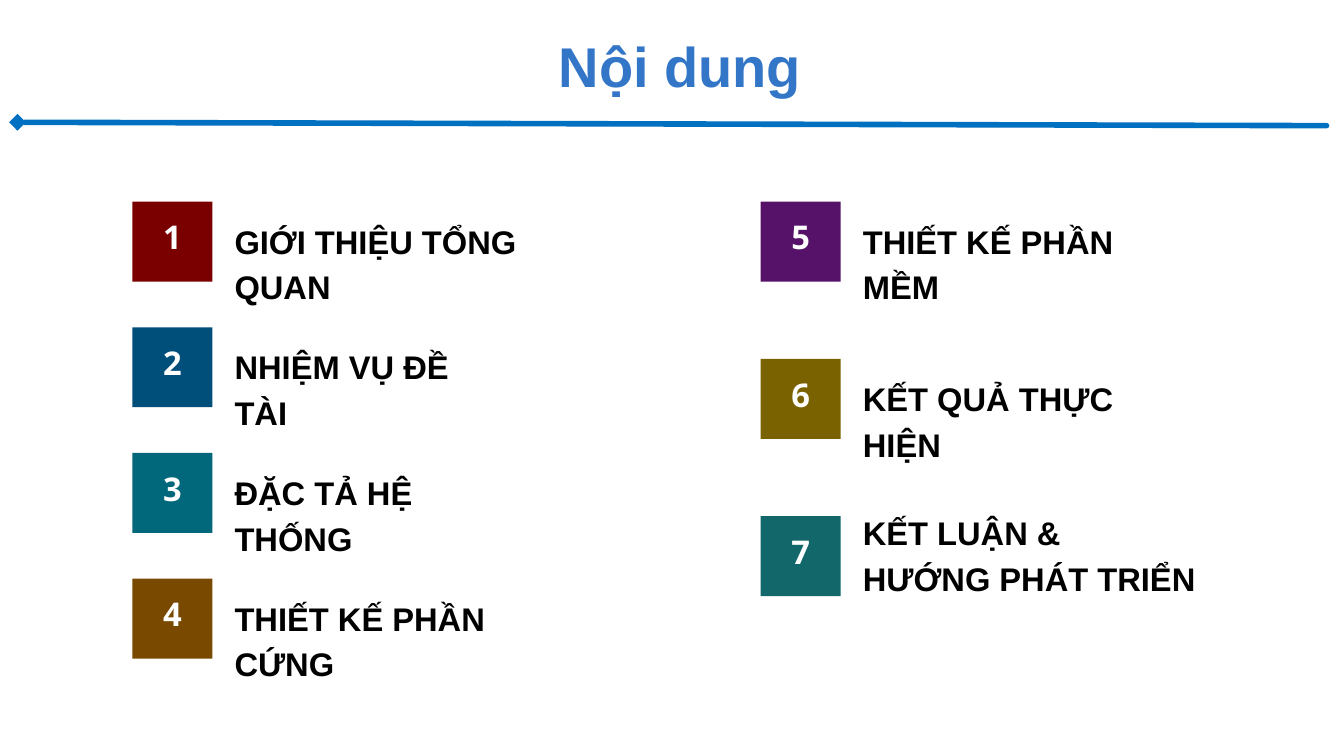
from lxml import etree
from pptx import Presentation
from pptx.dml.color import RGBColor
from pptx.enum.shapes import MSO_CONNECTOR, MSO_SHAPE
from pptx.enum.text import MSO_ANCHOR, MSO_AUTO_SIZE, PP_ALIGN
from pptx.oxml.ns import qn
from pptx.util import Inches, Pt

RECT = MSO_SHAPE.RECTANGLE
STRAIGHT = MSO_CONNECTOR.STRAIGHT
TOP, MIDDLE = MSO_ANCHOR.TOP, MSO_ANCHOR.MIDDLE
LEFT, CENTER = PP_ALIGN.LEFT, PP_ALIGN.CENTER
GROW = MSO_AUTO_SIZE.SHAPE_TO_FIT_TEXT

WHITE = RGBColor(0xFF, 0xFF, 0xFF)
BLACK = RGBColor(0x00, 0x00, 0x00)
TITLE_BLUE = RGBColor(0x33, 0x76, 0xC7)
RULE_BLUE = RGBColor(0x00, 0x70, 0xC0)
DARK_RED = RGBColor(0x7A, 0x00, 0x00)
NAVY = RGBColor(0x00, 0x4E, 0x7A)
TEAL = RGBColor(0x00, 0x68, 0x7A)
BROWN = RGBColor(0x7A, 0x49, 0x00)
PURPLE = RGBColor(0x56, 0x12, 0x69)
OLIVE = RGBColor(0x7A, 0x62, 0x00)
GREEN = RGBColor(0x11, 0x67, 0x6A)

TILE = 1.19
NUMBER_RISE = 0.24   # the number box starts above its tile
LABEL_DX = 1.52
LINE_H = 0.68
COLUMN_TOP = 3

# Each item: lines of the label, label width, label offset from the tile top, tile colour
LEFT_ITEMS = [
    (["GIỚI THIỆU TỔNG QUAN"], 5.7, 0.2, DARK_RED),
    (["NHIỆM VỤ ĐỀ TÀI"], 4.05, 0.2, NAVY),
    (["ĐẶC TẢ HỆ THỐNG"], 4.48, 0.2, TEAL),
    (["THIẾT KẾ PHẦN CỨNG"], 5.28, 0.2, BROWN),
]
RIGHT_ITEMS = [
    (["THIẾT KẾ PHẦN MỀM"], 4.94, 0.2, PURPLE),
    (["KẾT QUẢ THỰC HIỆN"], 4.96, 0.2, OLIVE),
    (["KẾT LUẬN &", "HƯỚNG PHÁT TRIỂN"], 5, -0.14, GREEN),
]


def add_text(s, box, lines, size, spacing, color, font="Arial",
             align=LEFT, anchor=TOP, inset=0):
    tb = s.shapes.add_textbox(*map(Inches, box))
    tf = tb.text_frame
    tf.word_wrap = True
    tf.vertical_anchor = anchor
    tf.margin_left = tf.margin_right = Inches(inset)
    tf.margin_top = tf.margin_bottom = Inches(inset)
    for i, line in enumerate(lines):
        p = tf.add_paragraph() if i else tf.paragraphs[0]
        p.alignment = align
        p.line_spacing = Pt(spacing)
        r = p.add_run()
        r.text = line
        r.font.name = font
        r.font.size = Pt(size)
        r.font.bold = True
        r.font.color.rgb = color
    return tf


def add_header(s, box):
    """Centred title with a diamond-headed rule under it."""
    x, y, w, h = box
    add_text(s, (x + 1.37, y, 17.5, h), ["Nội dung"], 60, 72, TITLE_BLUE,
             align=CENTER, anchor=MIDDLE)
    rule = s.shapes.add_connector(
        STRAIGHT, Inches(x + 0.26), Inches(y + h + 0.1),
        Inches(x + w - 0.26), Inches(y + h + 0.15))
    rule.line.color.rgb = RULE_BLUE
    rule.line.width = Pt(6)
    ln = rule.line._get_or_add_ln()
    ln.set("cap", "rnd")
    etree.SubElement(ln, qn("a:round"))
    etree.SubElement(ln, qn("a:headEnd"), type="diamond")
    etree.SubElement(rule._element.spPr, qn("a:effectLst"))


def add_item(s, x, y, number, item):
    lines, width, dy, color = item
    tile = s.shapes.add_shape(RECT, Inches(x), Inches(y), Inches(TILE), Inches(TILE))
    tile.shadow.inherit = False
    tile.fill.solid()
    tile.fill.fore_color.rgb = color
    tile.line.fill.background()
    add_text(s, (x, y - NUMBER_RISE, TILE, TILE + NUMBER_RISE), [str(number)],
             35, 49, WHITE, "Noto Sans", CENTER, MIDDLE, 0.06)
    tf = add_text(s, (x + LABEL_DX, y + dy, width, LINE_H * len(lines)),
                  lines, 35, 49, BLACK)
    tf.auto_size = GROW


def add_column(s, x, y, pitch, items, first):
    for i, item in enumerate(items):
        add_item(s, x, y + i * pitch, first + i, item)


def main():
    prs = Presentation()
    prs.slide_width, prs.slide_height = Inches(20), Inches(11.25)
    s = prs.slides.add_slide(prs.slide_layouts[6])
    add_header(s, (0, 0.23, 20, 1.49))
    add_column(s, 1.97, COLUMN_TOP, 1.87, LEFT_ITEMS, 1)
    add_column(s, 11.32, COLUMN_TOP, 2.34, RIGHT_ITEMS, len(LEFT_ITEMS) + 1)
    prs.save("out.pptx")


if __name__ == "__main__":
    main()
